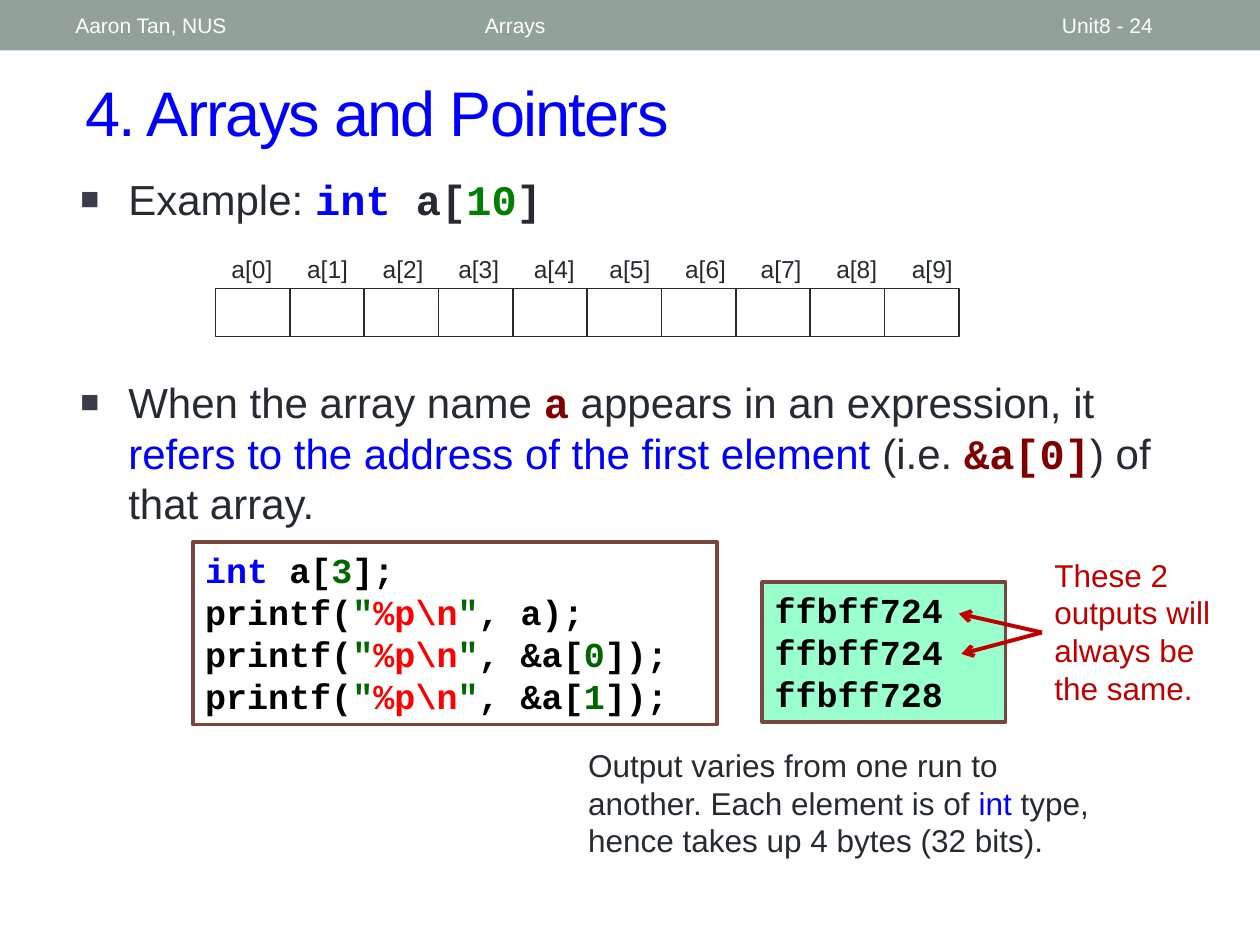
from lxml import etree
from pptx import Presentation
from pptx.dml.color import RGBColor
from pptx.enum import shapes, text
from pptx.oxml import ns
from pptx.util import Inches, Pt

INK = RGBColor(0x29, 0x29, 0x34)
BULLET = RGBColor(0x3B, 0x3B, 0x4B)
BLUE = RGBColor(0x00, 0x00, 0xFF)
GREEN = RGBColor(0x00, 0x80, 0x00)
DARK_GREEN = RGBColor(0x00, 0x66, 0x00)
MAROON = RGBColor(0x80, 0x00, 0x00)
RED = RGBColor(0xFF, 0x00, 0x00)
CRIMSON = RGBColor(0xC0, 0x00, 0x00)
BROWN = RGBColor(0x79, 0x46, 0x3D)
SAGE = RGBColor(0x93, 0xA2, 0x99)
MINT = RGBColor(0x99, 0xFF, 0xCC)
WHITE = RGBColor(0xFF, 0xFF, 0xFF)
BLACK = RGBColor(0x00, 0x00, 0x00)
SANS, MONO = "Arial", "Courier New"

# A paragraph is a list of runs: (text, colour) or (text, colour, font).
TITLE = "4. Arrays and Pointers"
HEADER = [
    ("Arrays", (3.75, 0.02, 4.5, 0.36)),
    ("Unit8 - 24", (8.33, 0.02, 1.17, 0.36)),
    ("Aaron Tan, NUS", (0.5, 0.02, 3.17, 0.36)),
]
BULLETS = [
    ((0.54, 1.33, 8.89, 0.73),
     [("Example: ", INK), ("int ", BLUE, MONO), ("a[", INK, MONO),
      ("10", GREEN, MONO), ("]", INK, MONO)]),
    ((0.54, 2.94, 8.89, 1.33),
     [("When the array name ", INK), ("a", MAROON, MONO),
      (" appears in an expression, it ", INK),
      ("refers to the address of the first element ", BLUE),
      ("(i.e. ", INK), ("&a[0]", MAROON, MONO), (") of that array.", INK)]),
]
PRINT = [("printf(", BLACK), ('"', DARK_GREEN), ("%p\\n", RED), ('"', DARK_GREEN)]
CODE = [
    [("int", BLUE), (" a[", BLACK), ("3", DARK_GREEN), ("];", BLACK)],
    PRINT + [(", a);", BLACK)],
    PRINT + [(", &a[", BLACK), ("0", DARK_GREEN), ("]);", BLACK)],
    PRINT + [(", &a[", BLACK), ("1", DARK_GREEN), ("]);", BLACK)],
]
OUTPUT = [[(line, BLACK)] for line in ("ffbff724", "ffbff724", "ffbff728")]
PANELS = [
    (CODE, WHITE, (1.53, 4.3, 4.16, 1.45)),
    (OUTPUT, MINT, (6.05, 4.62, 1.93, 1.11)),
]
NOTES = [
    ([("Output varies from one run to another. Each element is of ", INK),
      ("int ", BLUE), ("type, hence takes up 4 bytes (32 bits).", INK)],
     (4.57, 5.87, 4.34, 1.01)),
    ([("These 2 outputs will always be the same.", CRIMSON)],
     (8.27, 4.36, 1.45, 1.31)),
]
ARROW_START = (8.27, 5.02)
ARROW_ENDS = [(7.61, 4.87), (7.63, 5.19)]

CELL_COUNT = 10
CELL_LEFT, CELL_TOP, CELL_WIDTH, CELL_HEIGHT = 1.71, 2.29, 0.59, 0.38
LABEL_LEFT, LABEL_TOP, LABEL_WIDTH, LABEL_HEIGHT = 1.73, 1.97, 0.54, 0.34
LABEL_STEP = 0.6


def box(*lengths):
    return [Inches(length) for length in lengths]


def add_bullet(paragraph):
    properties = paragraph._p.get_or_add_pPr()
    properties.set("marL", str(Inches(0.38)))
    properties.set("indent", str(-Inches(0.38)))
    colour = etree.SubElement(properties, ns.qn("a:buClr"))
    etree.SubElement(colour, ns.qn("a:srgbClr"), val=str(BULLET))
    etree.SubElement(properties, ns.qn("a:buSzPct"), val="75000")
    etree.SubElement(properties, ns.qn("a:buFont"), typeface=SANS)
    etree.SubElement(properties, ns.qn("a:buChar"), char="■")


def write(shape, paragraphs, size, font=SANS, align=text.PP_ALIGN.LEFT,
          anchor=text.MSO_ANCHOR.TOP, wrap=True, bullet=False):
    frame = shape.text_frame
    frame.word_wrap = wrap
    frame.vertical_anchor = anchor
    for index, runs in enumerate(paragraphs):
        paragraph = frame.add_paragraph() if index else frame.paragraphs[0]
        if bullet:
            add_bullet(paragraph)
        paragraph.alignment = align
        for content, colour, *special in runs:
            run = paragraph.add_run()
            run.text = content
            run.font.size = Pt(size)
            run.font.name = special[0] if special else font
            run.font.bold = run.font.name == MONO
            run.font.color.rgb = colour


def add_text(parent, position, paragraphs, size, **style):
    write(parent.shapes.add_textbox(*box(*position)), paragraphs, size, **style)


def add_rectangle(parent, position, fill=None, line=None, width=1):
    shape = parent.shapes.add_shape(shapes.MSO_SHAPE.RECTANGLE, *box(*position))
    shape.shadow.inherit = False
    if fill is None:
        shape.fill.background()
    else:
        shape.fill.solid()
        shape.fill.fore_color.rgb = fill
    if line is None:
        shape.line.fill.background()
    else:
        shape.line.color.rgb = line
        shape.line.width = Pt(width)
    return shape


def add_arrow(parent, start, end):
    arrow = parent.shapes.add_connector(
        shapes.MSO_CONNECTOR.STRAIGHT, *box(*start, *end))
    arrow.line.color.rgb = CRIMSON
    arrow.line.width = Pt(2.25)
    etree.SubElement(arrow.line._get_or_add_ln(), ns.qn("a:tailEnd"), type="arrow")
    etree.SubElement(arrow._element.spPr, ns.qn("a:effectLst"))


def add_array(slide):
    group = slide.shapes.add_group_shape()
    for index in range(CELL_COUNT):
        add_text(group, (LABEL_LEFT + index * LABEL_STEP, LABEL_TOP,
                         LABEL_WIDTH, LABEL_HEIGHT),
                 [[(f"a[{index}]", INK)]], 14,
                 align=text.PP_ALIGN.CENTER, wrap=False)
    for index in range(CELL_COUNT):
        add_rectangle(group, (CELL_LEFT + index * CELL_WIDTH, CELL_TOP,
                              CELL_WIDTH, CELL_HEIGHT), line=INK)


def main():
    presentation = Presentation()
    presentation.slide_width, presentation.slide_height = box(10, 7.5)
    slide = presentation.slides.add_slide(presentation.slide_layouts[5])

    add_rectangle(slide, (0, 0, 10, 0.4), fill=SAGE)
    title = slide.shapes.title
    title.left, title.top, title.width, title.height = box(0.58, 0.42, 9.17, 0.92)
    write(title, [[(TITLE, BLUE)]], 36, anchor=text.MSO_ANCHOR.MIDDLE)
    title.text_frame.paragraphs[0].runs[0].font._element.set("spc", "-100")

    for content, position in HEADER:
        add_text(slide, position, [[(content, WHITE)]], 12,
                 anchor=text.MSO_ANCHOR.MIDDLE)
    for position, runs in BULLETS:
        add_text(slide, position, [runs], 24, bullet=True)
    add_array(slide)
    for paragraphs, fill, position in PANELS:
        panel = add_rectangle(slide, position, fill, BROWN, 2.08)
        write(panel, paragraphs, 20, font=MONO)
    for end in ARROW_ENDS:
        add_arrow(slide, ARROW_START, end)
    for runs, position in NOTES:
        add_text(slide, position, [runs], 18)

    presentation.save("out.pptx")


if __name__ == "__main__":
    main()
